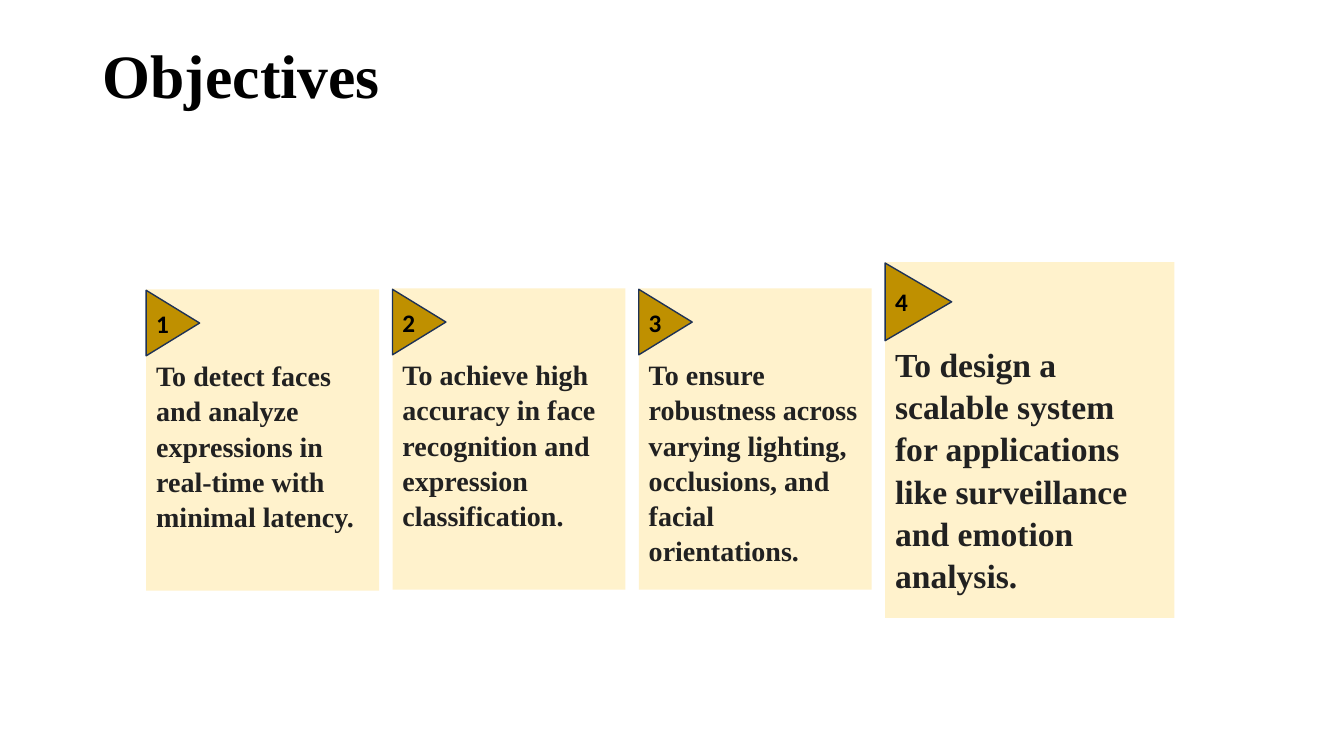
from pptx import Presentation
from pptx.dml.color import RGBColor
from pptx.enum.shapes import MSO_SHAPE as Shape
from pptx.enum.text import MSO_ANCHOR as Anchor, PP_ALIGN as Align
from pptx.util import Inches, Pt

COLORS = {
    "card": "FFF2CC",
    "marker": "BF9000",
    "outline": "1E3256",
    "body": "212121",
    "black": "000000",
}
SERIF = "Times New Roman"
SANS = "Calibri"
SMALL = {"width": 2.31, "height": 2.99, "marker": (0.53, 0.65), "size": 20}
LARGE = {"width": 2.87, "height": 3.53, "marker": (0.66, 0.77), "size": 24}
FIRST_LEFT = 1.45
PITCH = 2.443
OBJECTIVES = [
    (2.87, SMALL, "To detect faces and analyze expressions in real-time with minimal latency."),
    (2.86, SMALL, "To achieve high accuracy in face recognition and expression classification."),
    (2.86, SMALL, "To ensure robustness across varying lighting, occlusions, and facial orientations."),
    (2.6, LARGE, "To design a scalable system for applications like surveillance and emotion analysis."),
]


def color(name):
    return RGBColor.from_string(COLORS[name])


def write(shape, text, font, size, color_name, anchor, spacing=1.0):
    frame = shape.text_frame
    frame.word_wrap = True
    frame.vertical_anchor = anchor
    paragraph = frame.paragraphs[0]
    paragraph.alignment = Align.LEFT
    paragraph.line_spacing = spacing
    run = paragraph.add_run()
    run.text = text
    run.font.name = font
    run.font.size = Pt(size)
    run.font.bold = True
    run.font.color.rgb = color(color_name)


def fill(shape, name):
    shape.shadow.inherit = False
    shape.fill.solid()
    shape.fill.fore_color.rgb = color(name)


def add_title(slide, left, top, width, height):
    title = slide.shapes.title
    title.left, title.top = Inches(left), Inches(top)
    title.width, title.height = Inches(width), Inches(height)
    write(title, "Objectives", SERIF, 44, "black", Anchor.TOP, 0.9)


def add_marker(slide, left, top, width, height, number):
    builder = slide.shapes.build_freeform(Inches(left), Inches(top))
    builder.add_line_segments([
        (Inches(left + width), Inches(top + height / 2)),
        (Inches(left), Inches(top + height)),
    ], close=True)
    marker = builder.convert_to_shape()
    fill(marker, "marker")
    marker.line.color.rgb = color("outline")
    marker.line.width = Pt(1)
    write(marker, str(number), SANS, 18, "black", Anchor.MIDDLE)


def add_objective(slide, left, top, style, number, text):
    card = slide.shapes.add_shape(
        Shape.RECTANGLE, Inches(left), Inches(top),
        Inches(style["width"]), Inches(style["height"]))
    fill(card, "card")
    card.line.fill.background()
    marker_width, marker_height = style["marker"]
    card.text_frame.margin_top = Inches(marker_height + 0.02)
    write(card, text, SERIF, style["size"], "body", Anchor.TOP, 1.05)
    add_marker(slide, left, top + 0.01, marker_width, marker_height, number)


def main():
    presentation = Presentation()
    presentation.slide_width = Inches(13.33)
    presentation.slide_height = Inches(7.5)
    slide = presentation.slides.add_slide(presentation.slide_layouts[5])
    add_title(slide, 0.92, 0.4, 11.5, 1.45)
    for index, (top, style, text) in enumerate(OBJECTIVES):
        add_objective(slide, FIRST_LEFT + index * PITCH, top, style, index + 1, text)
    presentation.save("out.pptx")


if __name__ == "__main__":
    main()
